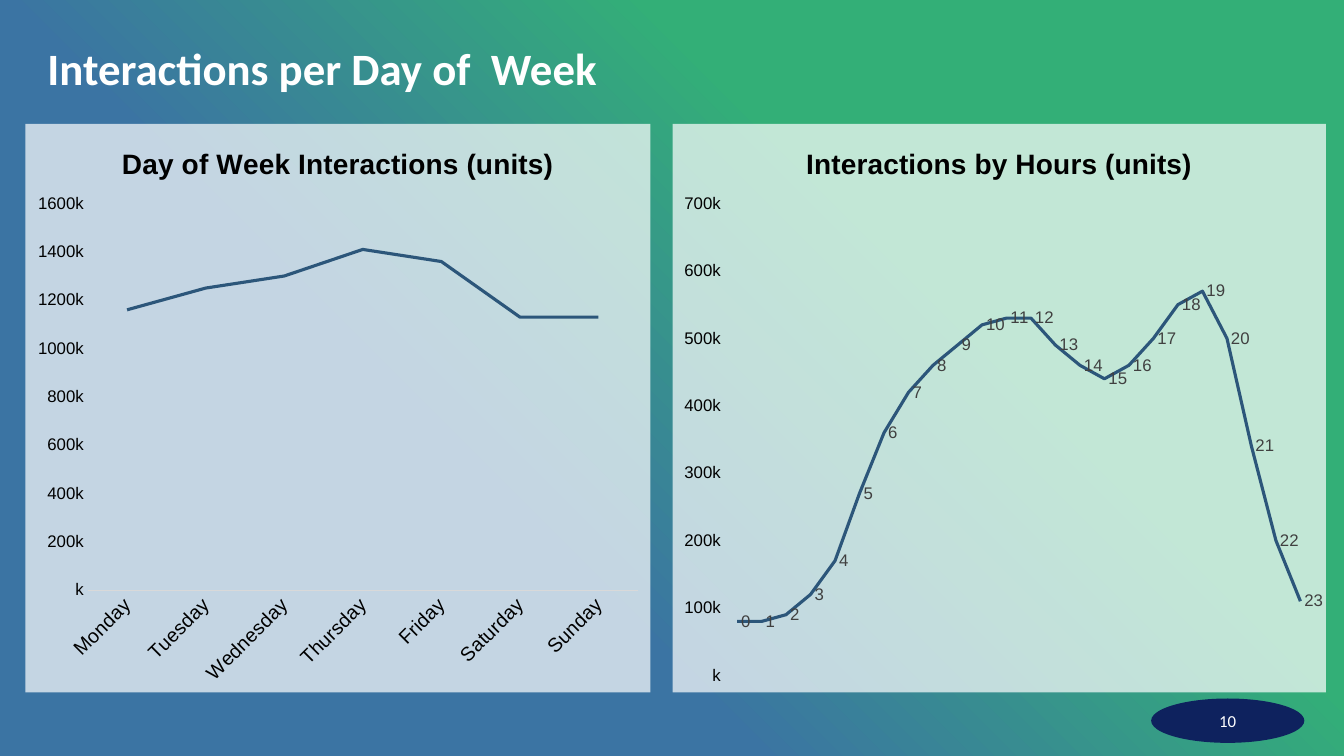
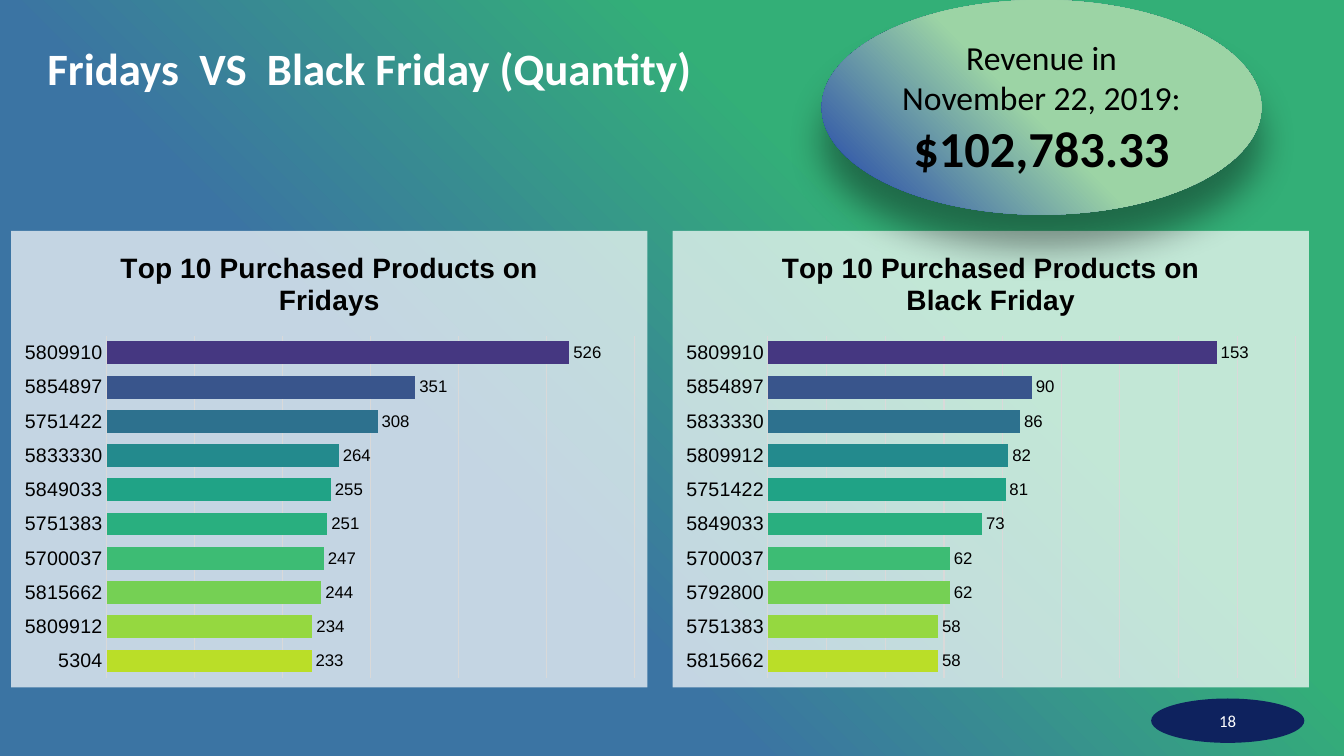
import pptx
import pptx.chart.data
import pptx.dml.color
import pptx.enum.chart
import pptx.enum.shapes
import pptx.enum.text
import pptx.oxml
import pptx.oxml.ns
import pptx.util

Pt = pptx.util.Pt
RGB = pptx.dml.color.RGBColor
KIND = pptx.enum.chart.XL_CHART_TYPE
SPOT = pptx.enum.chart.XL_LABEL_POSITION
TICK = pptx.enum.chart.XL_TICK_MARK
OVAL = pptx.enum.shapes.MSO_SHAPE.OVAL
ALIGN = pptx.enum.text.PP_ALIGN
MID = pptx.enum.text.MSO_ANCHOR.MIDDLE
NS = pptx.oxml.ns.nsdecls("a", "c")

# Colours
WHITE = RGB(0xFF, 0xFF, 0xFF)
BLACK = RGB(0x00, 0x00, 0x00)
GREY = RGB(0x40, 0x40, 0x40)
RULE = RGB(0xD9, 0xD9, 0xD9)
NAVY = RGB(0x0E, 0x22, 0x5E)
STEEL = RGB(0x2C, 0x56, 0x7A)
GREEN = RGB(0x33, 0xAF, 0x77)
BLUE = RGB(0x3B, 0x74, 0xA3)
MINT = RGB(0x9C, 0xD4, 0xA5)
ROYAL = RGB(0x19, 0x3B, 0xAA)
SCALE = [RGB.from_string(c) for c in (
    "BADE28", "95D840", "75D054", "3DBC74", "29AF7F",
    "20A386", "238A8D", "2D718E", "39558C", "453781")]

# Text formats
HEAD = {"name": "Calibri", "size": Pt(32), "bold": True}
PAGE = {"name": "Calibri", "size": Pt(12), "bold": False}
NOTE = {"name": "Calibri", "size": Pt(24), "bold": False}
SUM = {"name": "Calibri", "size": Pt(36), "bold": True}
NAME = {"name": "Arial", "size": Pt(20), "bold": True}
BASE = {"name": "Arial", "size": Pt(10), "bold": False}
CATS = {"name": "Arial", "size": Pt(14), "bold": False}
VALS = {"name": "Arial", "size": Pt(12), "bold": False}


def style(font, form, ink):
    for key, val in form.items():
        setattr(font, key, val)
    font.color.rgb = ink


def blend(fill, owner, stops):
    """Radial gradient that spreads from the top right corner."""
    fill.gradient()
    node = owner.element.xpath(".//a:gradFill")[0]
    marks = "".join(f'<a:gs pos="{pos * 1000}"><a:srgbClr val="{ink}"/></a:gs>'
                    for pos, ink in stops)
    node.getparent().replace(node, pptx.oxml.parse_xml(
        f'<a:gradFill {NS} rotWithShape="1"><a:gsLst>{marks}</a:gsLst>'
        '<a:path path="circle"><a:fillToRect l="100000" b="100000"/></a:path>'
        '</a:gradFill>'))


# Slide size and a grid of 100 columns by 100 rows
deck = pptx.Presentation()
deck.slide_width = pptx.util.Inches(13.33)
deck.slide_height = pptx.util.Inches(7.5)
COL, ROW = deck.slide_width / 100, deck.slide_height / 100
place = {name: [round(n * unit) for n, unit in zip(spot, (COL, ROW, COL, ROW))]
         for name, spot in {
             "title": (3.53, 6.27, 92.95, 6.27),
             "page": (85.65, 92.4, 11.4, 5.87),
             "note": (61.14, 0, 32.71, 28.4),
             "hours": (50.04, 16.4, 48.61, 75.2),
             "days": (1.88, 16.4, 46.51, 75.2),
             "fridays": (0.83, 30.53, 47.34, 60.4),
             "black": (50.04, 30.53, 47.34, 60.4)}.items()}

# Content: plot is left, top, width, height as shares of the chart
slides = [
    {"title": "Interactions per Day of  Week", "page": "10", "charts": [
        {"place": "hours", "kind": KIND.LINE, "title": "Interactions by Hours (units)",
         "cats": [str(n) for n in range(24)],
         "vals": [n * 10000 for n in (
             8, 8, 9, 12, 17, 27, 36, 42, 46, 49, 52, 53,
             53, 49, 46, 44, 46, 50, 55, 57, 50, 34, 20, 11)],
         "top": 700000, "step": 100000, "plot": (0.08, 0.14, 0.9, 0.83)},
        {"place": "days", "kind": KIND.LINE, "title": "Day of Week Interactions (units)",
         "cats": ["Monday", "Tuesday", "Wednesday", "Thursday", "Friday",
                  "Saturday", "Sunday"],
         "vals": [n * 10000 for n in (116, 125, 130, 141, 136, 113, 113)],
         "top": 1600000, "step": 200000, "plot": (0.1, 0.14, 0.88, 0.68)}]},
    {"title": "Fridays  VS  Black Friday (Quantity)", "page": "18",
     "note": ["Revenue in November 22, 2019:", "$102,783.33"], "charts": [
        {"place": "fridays", "kind": KIND.BAR_CLUSTERED,
         "title": "Top 10 Purchased Products on Fridays",
         "cats": ["5304", "5809912", "5815662", "5700037", "5751383",
                  "5849033", "5833330", "5751422", "5854897", "5809910"],
         "vals": [233, 234, 244, 247, 251, 255, 264, 308, 351, 526],
         "top": 600, "step": 100, "plot": (0.15, 0.23, 0.83, 0.75)},
        {"place": "black", "kind": KIND.BAR_CLUSTERED,
         "title": "Top 10 Purchased Products on Black Friday",
         "cats": ["5815662", "5751383", "5792800", "5700037", "5849033",
                  "5751422", "5809912", "5833330", "5854897", "5809910"],
         "vals": [58, 58, 62, 62, 73, 81, 82, 86, 90, 153],
         "top": 180, "step": 20, "plot": (0.15, 0.23, 0.83, 0.75)}]},
]

for page in slides:
    slide = deck.slides.add_slide(deck.slide_layouts[6])
    blend(slide.background.fill, slide,
          [(0, GREEN), (33, GREEN), (64, BLUE), (100, BLUE)])

    # Title
    title = slide.shapes.add_textbox(*place["title"])
    texts = [(title, [(page["title"], HEAD)], WHITE, ALIGN.LEFT, 0.9)]

    # Charts
    for item in page["charts"]:
        data = pptx.chart.data.CategoryChartData()
        data.categories = item["cats"]
        data.add_series("Series 1", item["vals"])
        chart = slide.shapes.add_chart(
            item["kind"], *place[item["place"]], data).chart
        style(chart.font, BASE, BLACK)
        chart.has_legend = False
        chart.has_title = True
        chart.chart_title.include_in_layout = False
        head = chart.chart_title.text_frame
        head.text = item["title"]
        style(head.paragraphs[0].runs[0].font, NAME, BLACK)

        # Pale panel and plot area
        chart.element.xpath("c:chart")[0].addnext(pptx.oxml.parse_xml(
            f'<c:spPr {NS}><a:solidFill><a:srgbClr val="{WHITE}">'
            '<a:alpha val="70000"/></a:srgbClr></a:solidFill>'
            '<a:ln><a:noFill/></a:ln></c:spPr>'))
        area = chart.element.xpath(".//c:plotArea")[0]
        for old in area.xpath("c:layout"):
            area.remove(old)
        sides = "".join(f'<c:{key} val="{val}"/>'
                        for key, val in zip("xywh", item["plot"]))
        area.insert(0, pptx.oxml.parse_xml(
            f'<c:layout {NS}><c:manualLayout><c:layoutTarget val="inner"/>'
            f'<c:xMode val="edge"/><c:yMode val="edge"/>{sides}'
            '</c:manualLayout></c:layout>'))

        # Axes
        line = item["kind"] == KIND.LINE
        cats, vals = chart.category_axis, chart.value_axis
        for axis, form in ((cats, CATS), (vals, VALS)):
            axis.major_tick_mark = axis.minor_tick_mark = TICK.NONE
            style(axis.tick_labels.font, form, BLACK)
        cats.format.line.color.rgb = RULE
        cats.format.line.width = Pt(0.75)
        for key, val in {"minimum_scale": 0, "maximum_scale": item["top"],
                         "major_unit": item["step"], "visible": line,
                         "has_major_gridlines": not line}.items():
            setattr(vals, key, val)

        # Series
        plot = chart.plots[0]
        plot.vary_by_categories = False
        row = plot.series[0]
        if line:
            row.smooth = False
            row.marker.style = pptx.enum.chart.XL_MARKER_STYLE.NONE
            row.format.line.color.rgb = STEEL
            row.format.line.width = Pt(2.25)
            vals.format.line.fill.background()
            vals.tick_labels.number_format = r"#,\k"
            vals.tick_labels.number_format_is_linked = False
        else:
            plot.gap_width = 50
            vals.major_gridlines.format.line.color.rgb = RULE
            vals.major_gridlines.format.line.width = Pt(0.75)
            for n, ink in enumerate(SCALE):
                fill = row.points[n].format.fill
                fill.solid()
                fill.fore_color.rgb = ink

        # Slanted day names, or labels at the points
        if item["place"] == "days":
            body = area.xpath("c:catAx/c:txPr/a:bodyPr")[0]
            body.set("rot", "-2700000")
        else:
            tags = row.data_labels
            style(tags.font, VALS, GREY if line else BLACK)
            for key, val in {
                    "show_category_name": line, "show_value": not line,
                    "position": SPOT.RIGHT if line else SPOT.OUTSIDE_END}.items():
                setattr(tags, key, val)
        if item["place"] == "hours":
            cats.visible = False

    # Revenue note
    if "note" in page:
        note = slide.shapes.add_shape(OVAL, *place["note"])
        blend(note.fill, note, [(0, MINT), (52, MINT), (100, ROYAL)])
        note.shadow.inherit = False
        note.element.xpath(".//a:effectLst")[0].append(pptx.oxml.parse_xml(
            f'<a:outerShdw {NS} blurRad="{Pt(26)}" dist="{Pt(24)}" dir="5400000"'
            f' rotWithShape="0"><a:srgbClr val="{BLACK}"><a:alpha val="39000"/>'
            '</a:srgbClr></a:outerShdw>'))
        note.line.fill.background()
        texts.append((note, list(zip(page["note"], (NOTE, SUM))),
                      BLACK, ALIGN.CENTER, 1))

    # Page number
    badge = slide.shapes.add_shape(OVAL, *place["page"])
    badge.shadow.inherit = False
    badge.fill.solid()
    badge.fill.fore_color.rgb = NAVY
    badge.line.fill.background()
    texts.append((badge, [(page["page"], PAGE)], WHITE, ALIGN.CENTER, 1))

    # Text of title, note and page number
    for shape, lines, ink, align, space in texts:
        frame = shape.text_frame
        frame.word_wrap = True
        frame.vertical_anchor = MID
        if shape is title:
            for side in ("left", "top", "right", "bottom"):
                setattr(frame, "margin_" + side, 0)
        frame.text = "\n".join(text for text, form in lines)
        for para, (text, form) in zip(frame.paragraphs, lines):
            para.alignment = align
            para.line_spacing = space
            style(para.runs[0].font, form, ink)

deck.save("out.pptx")
